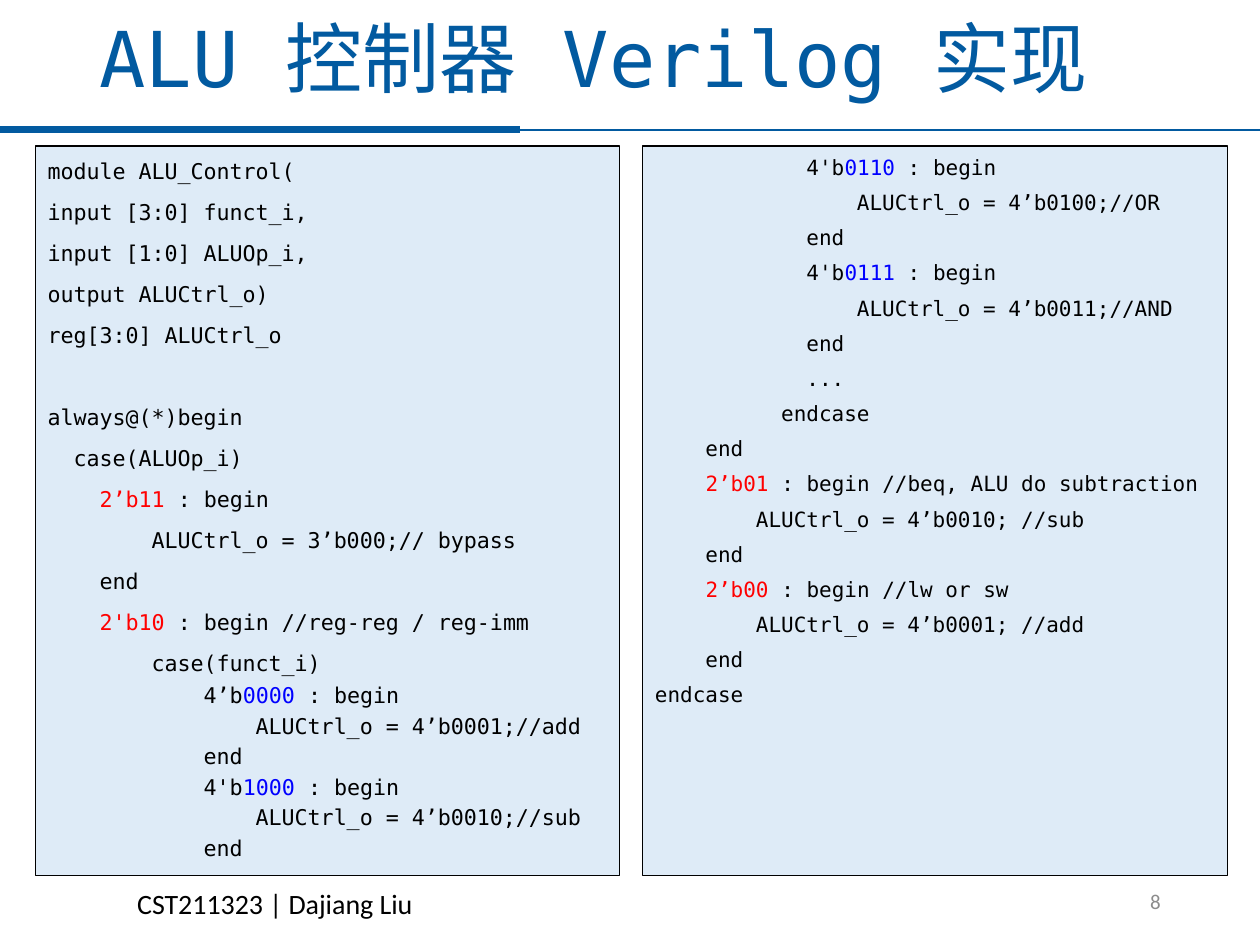
from typing import NamedTuple

from lxml import etree
from pptx import Presentation
from pptx.dml.color import RGBColor
from pptx.enum.shapes import MSO_CONNECTOR, MSO_SHAPE
from pptx.enum.text import MSO_ANCHOR, MSO_AUTO_SIZE, PP_ALIGN
from pptx.oxml.ns import qn
from pptx.util import Inches, Pt

STRAIGHT, RECT = MSO_CONNECTOR.STRAIGHT, MSO_SHAPE.RECTANGLE
LEFT, RIGHT = PP_ALIGN.LEFT, PP_ALIGN.RIGHT
TOP, MIDDLE = MSO_ANCHOR.TOP, MSO_ANCHOR.MIDDLE
NO_FIT = MSO_AUTO_SIZE.NONE

BLACK = RGBColor(0, 0, 0)
WHITE = RGBColor(255, 255, 255)
RED = RGBColor(255, 0, 0)
BLUE = RGBColor(0, 0, 255)
NAVY = RGBColor(0x02, 0x5A, 0xA0)
PALE = RGBColor(0xDE, 0xEB, 0xF7)
GRAY = RGBColor(0x8C, 0x8C, 0x8C)
MONO, SANS = "DejaVu Sans Mono", "Calibri"
GAP = 10  # points before a code line
SKIP = 33.4  # points before a code line that follows an empty one


class Block(NamedTuple):
    """Code lines of one line spacing; bars enclose a coloured literal."""
    code: str
    pitch: float


class Panel(NamedTuple):
    left: float
    size: float
    blocks: list[Block]


class Rule(NamedTuple):
    start: float
    end: float
    width: float


HEAD = """\
module ALU_Control(
input [3:0] funct_i,
input [1:0] ALUOp_i,
output ALUCtrl_o)
reg[3:0] ALUCtrl_o

always@(*)begin
  case(ALUOp_i)
    |2’b11| : begin
        ALUCtrl_o = 3’b000;// bypass
    end
    |2'b10| : begin //reg-reg / reg-imm
        case(funct_i)"""
CASES = """\
            4’b|0000| : begin
                ALUCtrl_o = 4’b0001;//add
            end
            4'b|1000| : begin
                ALUCtrl_o = 4’b0010;//sub
            end"""
REST = """\
            4'b|0110| : begin
                ALUCtrl_o = 4’b0100;//OR
            end
            4'b|0111| : begin
                ALUCtrl_o = 4’b0011;//AND
            end
            ...
          endcase
    end
    |2’b01| : begin //beq, ALU do subtraction
        ALUCtrl_o = 4’b0010; //sub
    end
    |2’b00| : begin //lw or sw
        ALUCtrl_o = 4’b0001; //add
    end
endcase"""

PANELS = [
    Panel(0.28, 12.4, [Block(HEAD, 0.9), Block(CASES, 0.5)]),
    Panel(5.1, 12, [Block(REST, 0.7)]),
]
RULES = [Rule(0, 4.13, 4), Rule(0.38, 10, 1)]


def write(para, text: str, *, size: float, font: str = MONO,
          color: RGBColor = BLACK, align=LEFT, pitch: float = 1,
          before: float = 0) -> None:
    """Fill a paragraph, colouring what stands between bars."""
    para.alignment = align
    para.line_spacing = pitch
    para.space_before = Pt(before)
    for i, piece in enumerate(text.split("|") if font == MONO else [text]):
        if not piece:
            continue
        run = para.add_run()
        run.text = piece
        run.font.size = Pt(size)
        run.font.name = font
        accent = RED if piece.startswith("2") else BLUE
        run.font.color.rgb = accent if i % 2 else color


def add_rule(slide, rule: Rule) -> None:
    y = Inches(1.03)
    line = slide.shapes.add_connector(
        STRAIGHT, Inches(rule.start), y, Inches(rule.end), y)
    line.line.color.rgb = NAVY
    line.line.width = Pt(rule.width)
    etree.SubElement(line._element.spPr, qn("a:effectLst"))


def add_panel(slide, panel: Panel) -> None:
    box = slide.shapes.add_shape(
        RECT, Inches(panel.left), Inches(1.16), Inches(4.64), Inches(5.79))
    box.shadow.inherit = False
    box.fill.solid()
    box.fill.fore_color.rgb = PALE
    box.line.color.rgb = BLACK
    box.line.width = Pt(0.75)
    frame = box.text_frame
    frame.word_wrap = True
    frame.vertical_anchor = TOP
    frame.margin_left = frame.margin_right = Inches(0.1)
    frame.margin_top, frame.margin_bottom = Inches(0.12), 0
    para, before = frame.paragraphs[0], 0
    for block in panel.blocks:
        for text in block.code.splitlines():
            if not text:
                before = SKIP
                continue
            para = para or frame.add_paragraph()
            write(para, text, size=panel.size, pitch=block.pitch,
                  before=before)
            para, before = None, GAP


def add_label(slide, text: str, left: float, top: float, width: float,
              height: float, *, wrap: bool, anchor=TOP, **style) -> None:
    box = slide.shapes.add_textbox(
        Inches(left), Inches(top), Inches(width), Inches(height))
    box.text_frame.word_wrap = wrap
    box.text_frame.vertical_anchor = anchor
    write(box.text_frame.paragraphs[0], text, font=SANS, **style)


def set_title(slide, text: str) -> None:
    title = slide.shapes.title
    title.left, title.top = Inches(0.69), Inches(0.11)
    title.width, title.height = Inches(8.62), Inches(0.78)
    frame = title.text_frame
    frame.auto_size = NO_FIT
    frame.word_wrap = True
    frame.vertical_anchor = MIDDLE
    write(frame.paragraphs[0], text, size=44, color=NAVY, pitch=0.9)
    for run in frame.paragraphs[0].runs:
        east = etree.SubElement(run.font._element, qn("a:ea"))
        east.set("typeface", MONO)


def main() -> None:
    deck = Presentation()
    deck.slide_width, deck.slide_height = Inches(10), Inches(7.5)
    slide = deck.slides.add_slide(deck.slide_layouts[5])
    slide.background.fill.solid()
    slide.background.fill.fore_color.rgb = WHITE
    set_title(slide, "ALU 控制器 Verilog 实现")
    for rule in RULES:
        add_rule(slide, rule)
    add_label(slide, "CST211323 | Dajiang Liu", 0.99, 6.99, 2.41, 0.37,
              wrap=False, size=16)
    add_label(slide, "8", 7.06, 6.95, 2.25, 0.4, wrap=True, anchor=MIDDLE,
              size=12, color=GRAY, align=RIGHT)
    for panel in PANELS:
        add_panel(slide, panel)
    deck.save("out.pptx")


if __name__ == "__main__":
    main()
